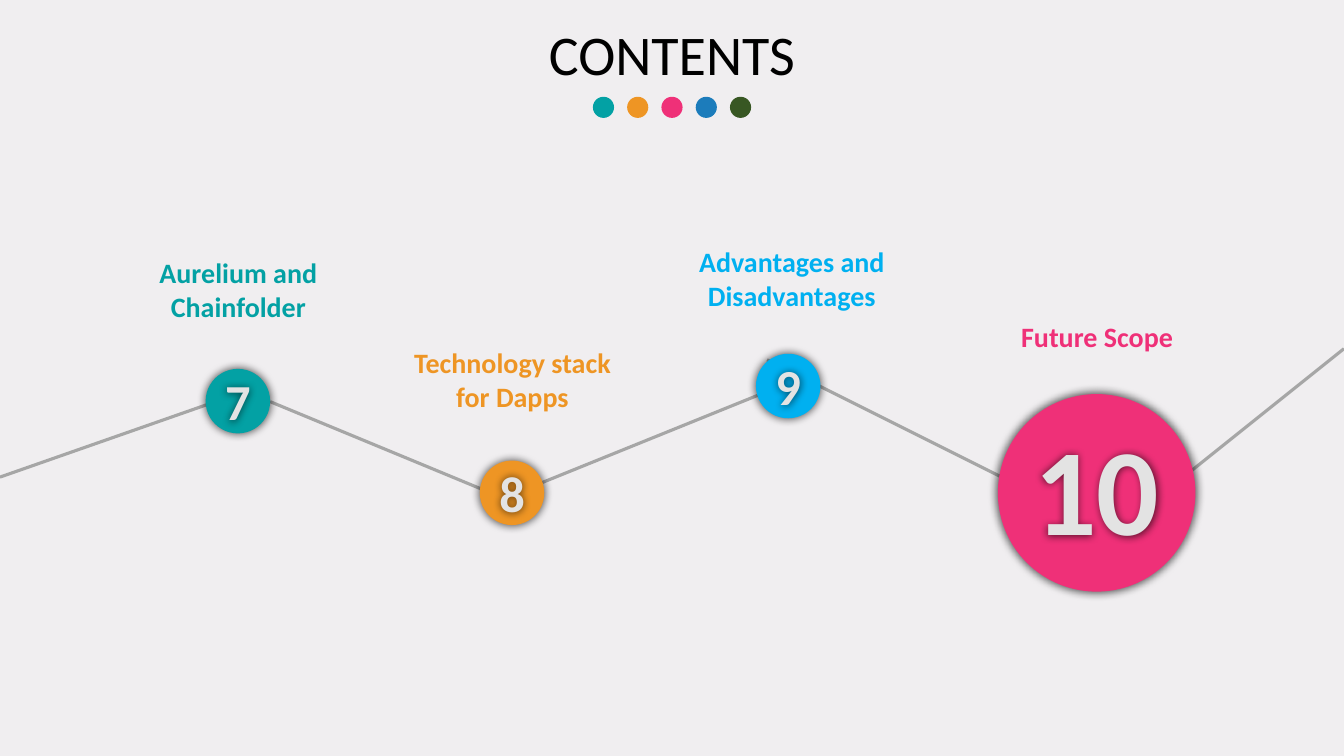
import lxml.etree
import pptx
import pptx.dml.color
import pptx.enum.shapes
import pptx.enum.text
import pptx.oxml
import pptx.oxml.ns
import pptx.util

Pt = pptx.util.Pt
RGBColor = pptx.dml.color.RGBColor
OVAL = pptx.enum.shapes.MSO_SHAPE.OVAL

BACKGROUND = RGBColor(0xF0, 0xEE, 0xF0)
BLACK = RGBColor(0x00, 0x00, 0x00)
GREY = RGBColor(0xA6, 0xA6, 0xA6)
SILVER = RGBColor(0xE3, 0xE3, 0xE3)
TEAL = RGBColor(0x03, 0xA1, 0xA4)
ORANGE = RGBColor(0xEE, 0x95, 0x24)
PINK = RGBColor(0xEF, 0x30, 0x78)
BLUE = RGBColor(0x1C, 0x7C, 0xBB)
GREEN = RGBColor(0x38, 0x57, 0x23)
SKY = RGBColor(0x00, 0xB0, 0xF0)

SHADOW = (
    f'<a:effectLst {pptx.oxml.ns.nsdecls("a")}>'
    '<a:outerShdw blurRad="76200" dist="0" sx="102000" sy="102000" algn="ctr" rotWithShape="0">'
    '<a:srgbClr val="000000"><a:alpha val="60000"/></a:srgbClr>'
    '</a:outerShdw></a:effectLst>'
)

SEGMENTS = [
    (154.8, 286.6, 0, 340.8),
    (350.6, 352.1, 193, 286.9),
    (367.2, 352.8, 555.8, 276.5),
    (738, 352.1, 547.9, 257),
    (960, 249.1, 836.6, 347.8),
]

STOPS = [
    ((712.8, 281.5, 141.1), PINK, "10", 88, (150.5, 113.8, -4), "Future Scope", (699.8, 224.6, 31.7)),
    ((146.9, 263.5, 46.1), TEAL, "7", 36, (30.2, 51.1, 0), "Aurelium and Chainfolder", (86.4, 179.3, 79.9)),
    ((342.7, 329, 46.1), ORANGE, "8", 36, (30.2, 51.1, 0), "Technology stack for Dapps", (282.2, 243.4, 79.9)),
    ((540, 252.7, 46.1), SKY, "9", 36, (30.2, 51.1, 0), "Advantages and Disadvantages", (481.7, 171.4, 55.4)),
]
LABEL_WIDTH = 167.8


def add_shadow(sp):
    """Give a shape a soft shadow on all sides."""
    sp.shadow.inherit = True
    sp._element.spPr.append(pptx.oxml.parse_xml(SHADOW))


def add_circle(shapes, x, y, d, color):
    """Add a plain filled circle and return it."""
    sp = shapes.add_shape(OVAL, Pt(x), Pt(y), Pt(d), Pt(d))
    sp.shadow.inherit = False
    sp.fill.solid()
    sp.fill.fore_color.rgb = color
    sp.line.fill.background()
    return sp


def add_text(s, x, y, w, h, text, size, color, bold=True):
    """Add a centred text box and return it."""
    sp = s.shapes.add_textbox(Pt(x), Pt(y), Pt(w), Pt(h))
    tf = sp.text_frame
    tf.word_wrap = True
    p = tf.paragraphs[0]
    p.text = text
    p.alignment = pptx.enum.text.PP_ALIGN.CENTER
    p.font.name = "Calibri"
    p.font.size = Pt(size)
    p.font.bold = bold
    p.font.color.rgb = color
    return sp


def add_path_line(s, x1, y1, x2, y2):
    """Add one grey segment of the path between the stops."""
    line = s.shapes.add_connector(
        pptx.enum.shapes.MSO_CONNECTOR.STRAIGHT, Pt(x1), Pt(y1), Pt(x2), Pt(y2))
    line.line.color.rgb = GREY
    line.line.width = Pt(2.25)
    lxml.etree.SubElement(line._element.spPr, pptx.oxml.ns.qn("a:effectLst"))


def add_heading(s, x, y, w, h):
    """Add the title with its row of coloured dots below."""
    add_text(s, x, y, w, h, "CONTENTS", 40, BLACK, bold=False)
    dots = s.shapes.add_group_shape()
    d, step = 15.1, 24.48
    colors = [TEAL, ORANGE, PINK, BLUE, GREEN]
    left = x + (w - d - step * (len(colors) - 1)) / 2
    for i, color in enumerate(colors):
        add_circle(dots.shapes, left + i * step, y + h + 3.6, d, color)


def add_stop(s, circle, color, number, size, number_box, label, label_box):
    """Add a numbered circle and its label."""
    x, y, d = circle
    add_shadow(add_circle(s.shapes, x, y, d, color))
    w, h, dy = number_box
    sp = add_text(s, x + (d - w) / 2, y + (d - h) / 2 + dy, w, h, number, size, SILVER)
    sp.text_frame.margin_left = sp.text_frame.margin_right = 0
    add_shadow(sp)
    left, top, height = label_box
    add_text(s, left, top, LABEL_WIDTH, height, label, 20, color)


def main():
    """Build the contents slide and save it."""
    prs = pptx.Presentation()
    prs.slide_width, prs.slide_height = Pt(960), Pt(540)
    s = prs.slides.add_slide(prs.slide_layouts[6])
    s.background.fill.solid()
    s.background.fill.fore_color.rgb = BACKGROUND
    for segment in SEGMENTS:
        add_path_line(s, *segment)
    add_heading(s, 193.5, 10.1, 573, 55.4)
    for stop in STOPS:
        add_stop(s, *stop)
    prs.save("out.pptx")


if __name__ == "__main__":
    main()
